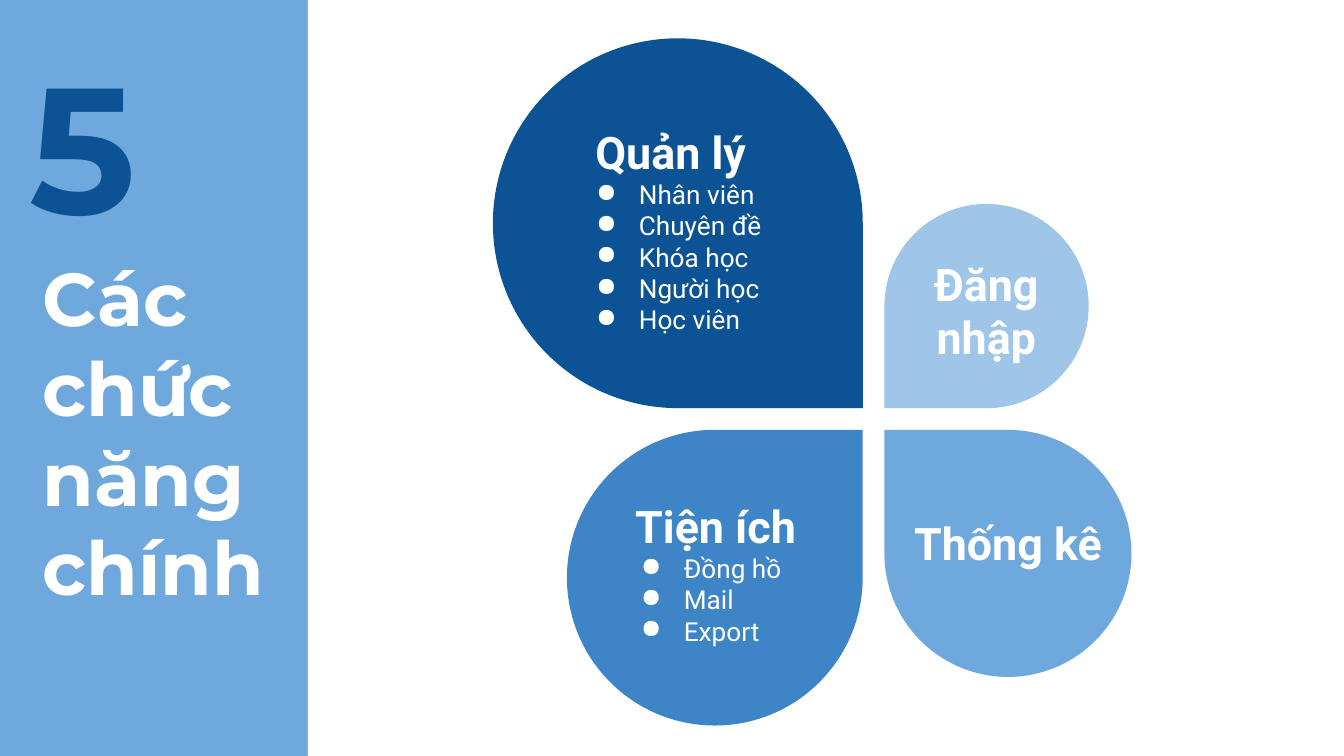
from collections import namedtuple

from lxml import etree
from pptx import Presentation
from pptx import util as u
from pptx.dml import color
from pptx.enum import shapes, text
from pptx.oxml import ns

WHITE = color.RGBColor(0xFF, 0xFF, 0xFF)
NAVY = color.RGBColor(0x0B, 0x53, 0x94)
BLUE = color.RGBColor(0x3D, 0x85, 0xC6)
SKY = color.RGBColor(0x6F, 0xA8, 0xDC)
PALE = color.RGBColor(0x9F, 0xC5, 0xE8)

WIDTH, HEIGHT, SIDEBAR = 25.4, 14.29, 5.82
NUMBER = {"name": "Montserrat", "size": u.Pt(96), "bold": True}
TITLE = {"name": "Montserrat", "size": u.Pt(40), "bold": True}
HEADING = {"name": "Roboto", "size": u.Pt(24), "bold": True}
ITEM = {"name": "Roboto", "size": u.Pt(14), "bold": False}

Box = namedtuple("Box", "left top width height")
Petal = namedtuple("Petal", "size right below rotation fill label heading items")

PETALS = [
    Petal(6.99, False, False, 90, NAVY, Box(1.24, 1.5, 4.24, 5), "Quản lý",
          ["Nhân viên", "Chuyên đề", "Khóa học", "Người học", "Học viên"]),
    Petal(5.59, False, True, 0, BLUE, Box(0.69, 1.17, 4.24, 3.51), "Tiện ích",
          ["Đồng hồ", "Mail", "Export"]),
    Petal(3.86, True, False, 180, PALE, Box(-0.3, 0.86, 4.45, 2.62), "Đăng nhập", []),
    Petal(4.67, True, True, 270, SKY, Box(0, 1.5, 4.67, 2.62), "Thống kê", []),
]


def lengths(box):
    """Convert a box in centimetres to slide lengths."""
    return [u.Cm(value) for value in box]


def add_filled(parent, kind, box, fill):
    """Add a flat preset shape without an outline."""
    shape = parent.add_shape(kind, *lengths(box))
    shape.shadow.inherit = False
    shape.fill.solid()
    shape.fill.fore_color.rgb = fill
    shape.line.fill.background()
    return shape


def add_textbox(slide, box, vertical_inset):
    """Add a wrapping, top-anchored text box and return its frame."""
    frame = slide.shapes.add_textbox(*lengths(box)).text_frame
    values = {
        "word_wrap": True, "vertical_anchor": text.MSO_ANCHOR.TOP,
        "margin_left": u.Cm(0.25), "margin_right": u.Cm(0.25),
        "margin_top": u.Cm(vertical_inset), "margin_bottom": u.Cm(vertical_inset),
    }
    for name, value in values.items():
        setattr(frame, name, value)
    return frame


def write(paragraph, words, style, fill=WHITE):
    """Write one styled run into a paragraph."""
    run = paragraph.add_run()
    run.text = words
    for name, value in style.items():
        setattr(run.font, name, value)
    run.font.color.rgb = fill


def add_bullet(paragraph):
    """Give a paragraph a white round bullet with a hanging indent."""
    properties = paragraph._p.get_or_add_pPr()
    properties.set("marL", str(u.Cm(1.27)))
    properties.set("indent", str(u.Cm(-0.81)))
    bullet_color = etree.SubElement(properties, ns.qn("a:buClr"))
    etree.SubElement(bullet_color, ns.qn("a:srgbClr"), val=str(WHITE))
    etree.SubElement(properties, ns.qn("a:buChar"), char="●")


def add_sidebar(slide, box):
    """Place the section number above the slide title."""
    number = Box(box.left + 0.3, box.top + 0.41, box.width - 0.79, 3.48)
    title = Box(box.left + 0.56, box.top + 4.52, box.width - 1.07, 2.39)
    frame = add_textbox(slide, title, 0.25)
    write(frame.paragraphs[0], "Các chức năng chính", TITLE)
    frame = add_textbox(slide, number, 0.25)
    write(frame.paragraphs[0], "5", NUMBER, NAVY)


def add_label(slide, box, heading, items):
    """Place a centred heading with its bulleted items."""
    frame = add_textbox(slide, box, 0.13)
    paragraph = frame.paragraphs[0]
    paragraph.alignment = text.PP_ALIGN.CENTER
    write(paragraph, heading, HEADING)
    for item in items:
        paragraph = frame.add_paragraph()
        add_bullet(paragraph)
        write(paragraph, item, ITEM)


def add_flower(slide, box, gap=0.41):
    """Arrange the petals so that their tips meet around a cross-shaped gap."""
    center_x, center_y = box.left + 10.69, box.top + 7.92
    group = slide.shapes.add_group_shape()
    labels = []
    for petal in PETALS:
        left = center_x + (gap / 2 if petal.right else -gap / 2 - petal.size)
        top = center_y + (gap / 2 if petal.below else -gap / 2 - petal.size)
        shape = add_filled(group.shapes, shapes.MSO_SHAPE.TEAR,
                           Box(left, top, petal.size, petal.size), petal.fill)
        shape.rotation = petal.rotation
        label = petal.label
        labels.append(label._replace(left=left + label.left, top=top + label.top))
    for petal, label in zip(PETALS, labels):
        add_label(slide, label, petal.heading, petal.items)


def main():
    """Build and save the slide."""
    presentation = Presentation()
    presentation.slide_width = u.Cm(WIDTH)
    presentation.slide_height = u.Cm(HEIGHT)
    slide = presentation.slides.add_slide(presentation.slide_layouts[6])
    slide.background.fill.solid()
    slide.background.fill.fore_color.rgb = SKY
    panel = Box(SIDEBAR, 0, WIDTH - SIDEBAR, HEIGHT)
    add_filled(slide.shapes, shapes.MSO_SHAPE.RECTANGLE, panel, WHITE)
    add_sidebar(slide, Box(0, 0, SIDEBAR, HEIGHT))
    add_flower(slide, panel)
    presentation.save("out.pptx")


if __name__ == "__main__":
    main()
